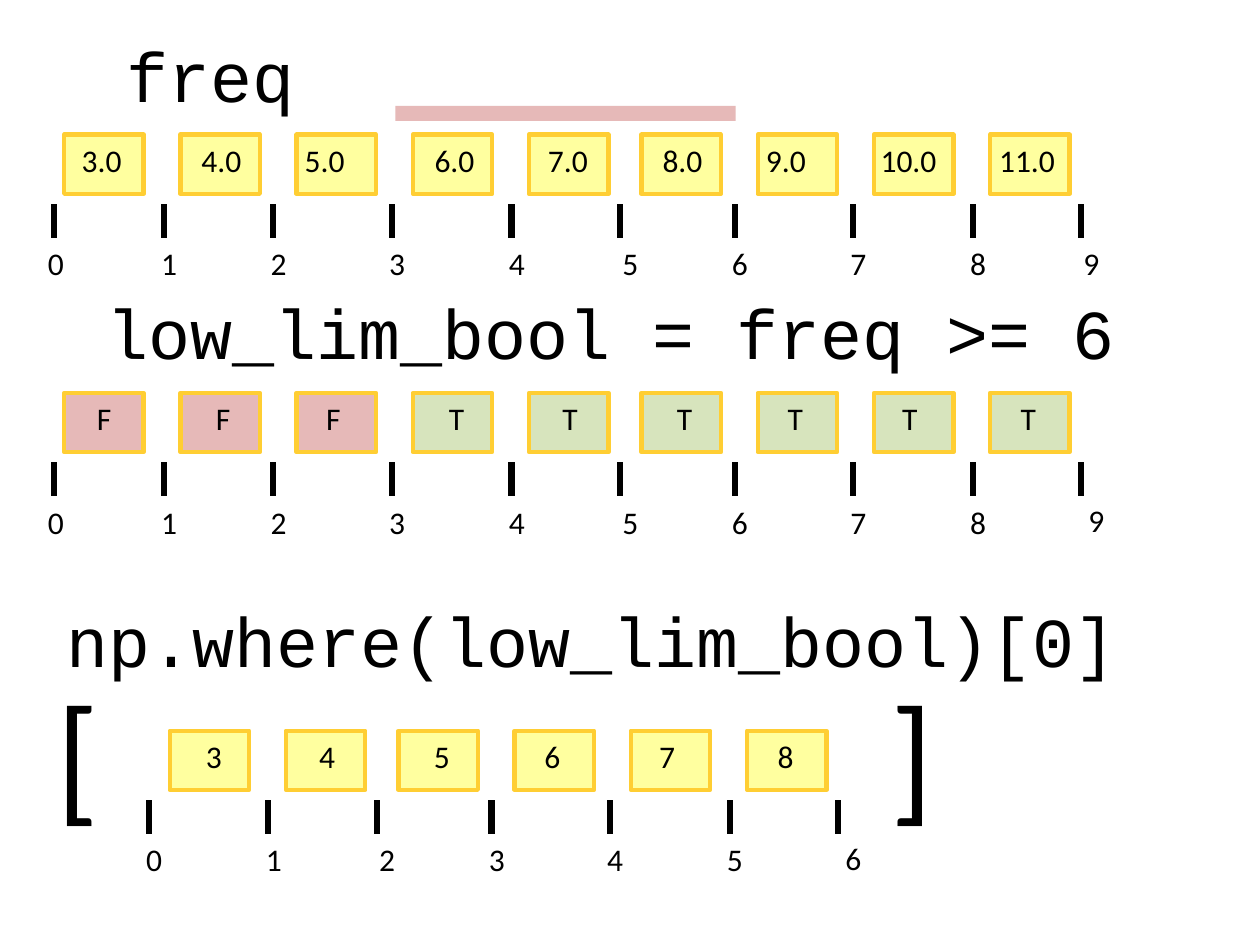
from lxml import etree
from pptx import Presentation
from pptx.dml.color import RGBColor
from pptx.enum.shapes import MSO_CONNECTOR, MSO_SHAPE
from pptx.enum.text import MSO_AUTO_SIZE
from pptx.oxml.ns import qn
from pptx.util import Pt

RECTANGLE = MSO_SHAPE.RECTANGLE
STRAIGHT = MSO_CONNECTOR.STRAIGHT
GROW = MSO_AUTO_SIZE.SHAPE_TO_FIT_TEXT

BLACK, YELLOW, GOLD, PINK, GREEN = "000000", "FFFF9F", "FFCE33", "E6B9B8", "D7E4BD"
BODY_FONT, CODE_FONT = "Calibri", "Courier New"
INSET = 7.2

# Horizontal places along a full array, measured from its first tick.
TICKS = [0, 62.6, 125.2, 192.9, 261.3, 323.2, 388.8, 456.4, 524.8, 586.8]
NUMBERS = [-10.8, 54, 116.6, 184.3, 252.7, 317.5, 380.1, 447.8, 516.2, 581]
CELLS = [5.7 + 66.4 * i - (2.1 if i > 4 else 0) for i in range(9)]
LABELS = [8.6, 77, 136, 210.2, 275, 340.5, 399.6, 465.1, 532.8]
LABEL_WIDTHS = [42.5, 42.5, 51.1, 42.5, 42.5, 42.5, 51.1, 51.1, 73.4]
SHORT_INDENTS = [8.6, 8.1, 12.2, 8.1, 8.1, 8.1, 12.2, 12.2, 12.2]


def color(value):
    """Turn a hex string into a colour."""
    return RGBColor.from_string(value)


def add_text(page, text, left, top, width, height, size=18, font=BODY_FONT, indent=0):
    """Place one line of text and return its paragraph."""
    box = page.shapes.add_textbox(Pt(left), Pt(top), Pt(width), Pt(height))
    frame = box.text_frame
    frame.word_wrap = True
    frame.auto_size = GROW
    frame.margin_left = Pt(INSET + indent)
    para = frame.paragraphs[0]
    para.text = text
    para.font.size = Pt(size)
    para.font.name = font
    para.font.color.rgb = color(BLACK)
    return para


def add_bar(page, left, top, width, height, fill, outline=None):
    """Draw a filled rectangle, outlined if an outline colour is given."""
    bar = page.shapes.add_shape(RECTANGLE, Pt(left), Pt(top), Pt(width), Pt(height))
    bar.shadow.inherit = False
    bar.fill.solid()
    bar.fill.fore_color.rgb = color(fill)
    if outline:
        bar.line.color.rgb = color(outline)
        bar.line.width = Pt(2.5)
    else:
        bar.line.fill.background()


def add_tick(page, left, top, height):
    """Draw a short upright tick."""
    tick = page.shapes.add_connector(STRAIGHT, Pt(left), Pt(top), Pt(left), Pt(top + height))
    tick.line.color.rgb = color(BLACK)
    tick.line.width = Pt(3.5)
    etree.SubElement(tick._element.spPr, qn("a:effectLst"))


def add_array(page, left, top, labels, fills, first=0, indents=None, end_shift=(0, 0)):
    """Draw an array of cells over a numbered scale, from its first tick and cell top."""
    start = left - TICKS[first]
    count = len(labels)
    for i, (label, fill) in enumerate(zip(labels, fills)):
        slot = first + i
        add_bar(page, start + CELLS[slot], top, 45.4, 33.8, fill, GOLD)
        add_text(page, label, start + LABELS[slot], top, LABEL_WIDTHS[slot], 29,
                 indent=indents[slot] if indents else 0)
    for i in range(count + 1):
        slot = first + i
        shift_x, shift_y = end_shift if i == count else (0, 0)
        add_tick(page, start + TICKS[slot], top + 39.6, 19.4)
        add_text(page, str(i), start + NUMBERS[slot] + shift_x, top + 59 + shift_y, 42.5, 29)


def add_heading(page, text, left, top, width):
    """Place a line of code above an array."""
    add_text(page, text, left, top, width, 55.4, 40, CODE_FONT)


def add_brackets(page, left, top, width, height, gap):
    """Place a pair of brackets, the closing one set at a tab stop."""
    para = add_text(page, "[\t]", left, top, width, height, 80)
    properties = para._p.get_or_add_pPr()
    stops = etree.Element(qn("a:tabLst"))
    etree.SubElement(stops, qn("a:tab"), pos=str(int(Pt(gap))), algn="l")
    properties.insert(0, stops)


def build_slide(page):
    """Place the three arrays with their headings."""
    add_heading(page, "freq", 65.5, 15.1, 252)
    add_array(page, 31, 77, [f"{value}.0" for value in range(3, 12)], [YELLOW] * 9)
    add_bar(page, 226, 60.5, 194.4, 8.6, PINK)

    add_heading(page, "low_lim_bool = freq >= 6", 54, 162, 612)
    add_array(page, 31, 224.6, "FFFTTTTTT", [PINK] * 3 + [GREEN] * 6,
              indents=SHORT_INDENTS, end_shift=(2.9, -0.7))

    add_heading(page, "np.where(low_lim_bool)[0]", 31, 337.7, 663)
    add_array(page, 85, 417.6, "345678", [YELLOW] * 6, first=3,
              indents=SHORT_INDENTS, end_shift=(2.9, -0.7))
    add_brackets(page, 25.2, 378, 581, 104.4, 476.6)


deck = Presentation()
deck.slide_width, deck.slide_height = Pt(720), Pt(540)
build_slide(deck.slides.add_slide(deck.slide_layouts[6]))
deck.save("out.pptx")
